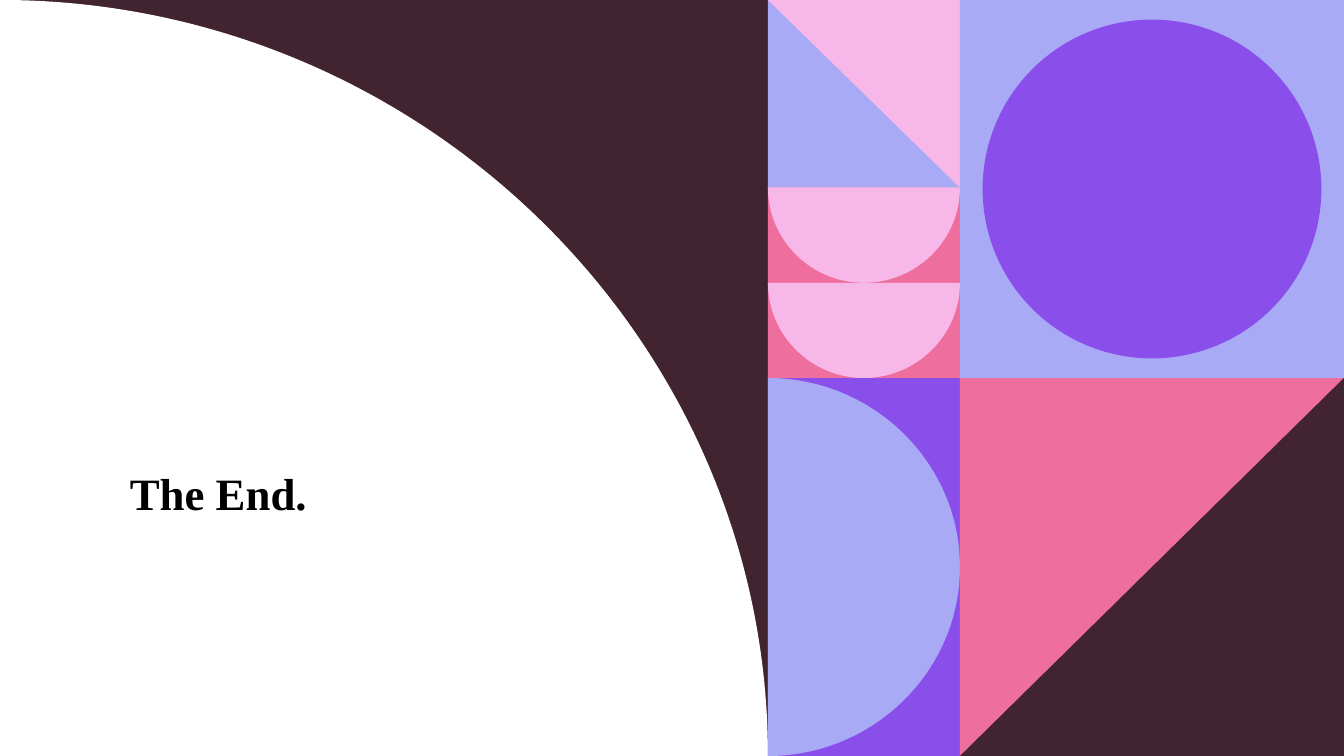
from dataclasses import dataclass

from lxml import etree
from pptx import Presentation
from pptx import util as u
from pptx.dml import color
from pptx.enum import shapes, text
from pptx.oxml import ns


@dataclass(frozen=True)
class Theme:
    white: str = "FFFFFF"
    black: str = "000000"
    plum: str = "41242F"
    blue: str = "A8AAF5"
    pink: str = "F7B8E9"
    rose: str = "EE6E9D"
    violet: str = "8A4EEB"
    font: str = "Times New Roman"
    title_size: int = 32


T = Theme()
WIDTH, HEIGHT = 960, 540
# Column edges lie on sevenths of the slide width
COL_1, COL_2 = (WIDTH * n / 7 for n in (4, 5))
ROW_1, ROW_2 = 134, 270
# Bezier handle length for a quarter of an ellipse
HANDLE = 0.55


def paint(sp, fill):
    sp.fill.solid()
    sp.fill.fore_color.rgb = color.RGBColor.from_string(fill)
    sp.line.fill.background()
    sp.shadow.inherit = False


def preset(s, kind, box, fill):
    paint(s.shapes.add_shape(kind, *(u.Pt(v) for v in box)), fill)


def tile(s, box, fill):
    preset(s, shapes.MSO_SHAPE.RECTANGLE, box, fill)


def outline(s, points, fill):
    pts = [(u.Pt(x), u.Pt(y)) for x, y in points]
    fb = s.shapes.build_freeform(*pts[0], scale=1.0)
    fb.add_line_segments(pts[1:], close=True)
    sp = fb.convert_to_shape()
    paint(sp, fill)
    return sp


def rounded(s, start, quarters, fill, end_points=()):
    """Quarter ellipses given as (corner, end), then straight lines."""
    points = [start]
    for corner, end in quarters:
        for anchor in (points[-1], end):
            points.append(tuple(a + HANDLE * (c - a) for a, c in zip(anchor, corner)))
        points.append(end)
    sp = outline(s, points + list(end_points), fill)
    # Join each three points of a quarter into one Bezier segment
    lines = list(sp.element.iter(ns.qn("a:lnTo")))
    for i in range(0, 3 * len(quarters), 3):
        curve = etree.Element(ns.qn("a:cubicBezTo"))
        lines[i].addprevious(curve)
        for line in lines[i:i + 3]:
            curve.append(line[0])
            line.getparent().remove(line)


def closing_panel(s, box):
    x, y, w, h = box
    tile(s, box, T.plum)
    # Quarter disc around the bottom left corner
    rounded(s, (x, y), [((x + w, y), (x + w, y + h))], T.white, [(x, y + h)])
    # Closing words
    tf = s.shapes.add_textbox(u.Pt(x + 85.7), u.Pt(y + 223.5), u.Pt(336), u.Pt(151)).text_frame
    tf.word_wrap = True
    tf.vertical_anchor = text.MSO_ANCHOR.BOTTOM
    p = tf.paragraphs[0]
    p.line_spacing = 1.1
    r = p.add_run()
    r.text = "The End."
    r.font.name, r.font.size, r.font.bold = T.font, u.Pt(T.title_size), True
    r.font.color.rgb = color.RGBColor.from_string(T.black)


def split_tile(s, box, fill, corner_fill, corner):
    """A tile with one corner ("top" or "bottom" right) cut off by a diagonal."""
    x, y, w, h = box
    tile(s, box, fill)
    top_right, bottom_right = (x + w, y), (x + w, y + h)
    far_end = (x, y) if corner == "top" else (x, y + h)
    outline(s, [far_end, top_right, bottom_right], corner_fill)


def bowls_tile(s, box):
    x, y, w, h = box
    tile(s, box, T.rose)
    # Two stacked half discs
    for top in (y, y + h / 2):
        base = top + h / 2
        rounded(s, (x + w, top), [((x + w, base), (x + w / 2, base)),
                                  ((x, base), (x, top))], T.pink)


def half_disc_tile(s, box):
    x, y, w, h = box
    tile(s, box, T.violet)
    rounded(s, (x, y), [((x + w, y), (x + w, y + h / 2)),
                        ((x + w, y + h), (x, y + h))], T.blue)


def disc_tile(s, box):
    x, y, w, h = box
    d = 242
    tile(s, box, T.blue)
    preset(s, shapes.MSO_SHAPE.OVAL, (x + (w - d) / 2, y + (h - d) / 2, d, d), T.violet)


def main():
    prs = Presentation()
    prs.slide_width, prs.slide_height = u.Pt(WIDTH), u.Pt(HEIGHT)
    s = prs.slides.add_slide(prs.slide_layouts[6])

    # Left panel
    closing_panel(s, (0, 0, COL_1, HEIGHT))
    # Narrow column
    narrow, wide = COL_2 - COL_1, WIDTH - COL_2
    split_tile(s, (COL_1, 0, narrow, ROW_1), T.blue, T.pink, "top")
    bowls_tile(s, (COL_1, ROW_1, narrow, ROW_2 - ROW_1))
    half_disc_tile(s, (COL_1, ROW_2, narrow, HEIGHT - ROW_2))
    # Wide column
    disc_tile(s, (COL_2, 0, wide, ROW_2))
    split_tile(s, (COL_2, ROW_2, wide, HEIGHT - ROW_2), T.rose, T.plum, "bottom")

    prs.save("out.pptx")


if __name__ == "__main__":
    main()
